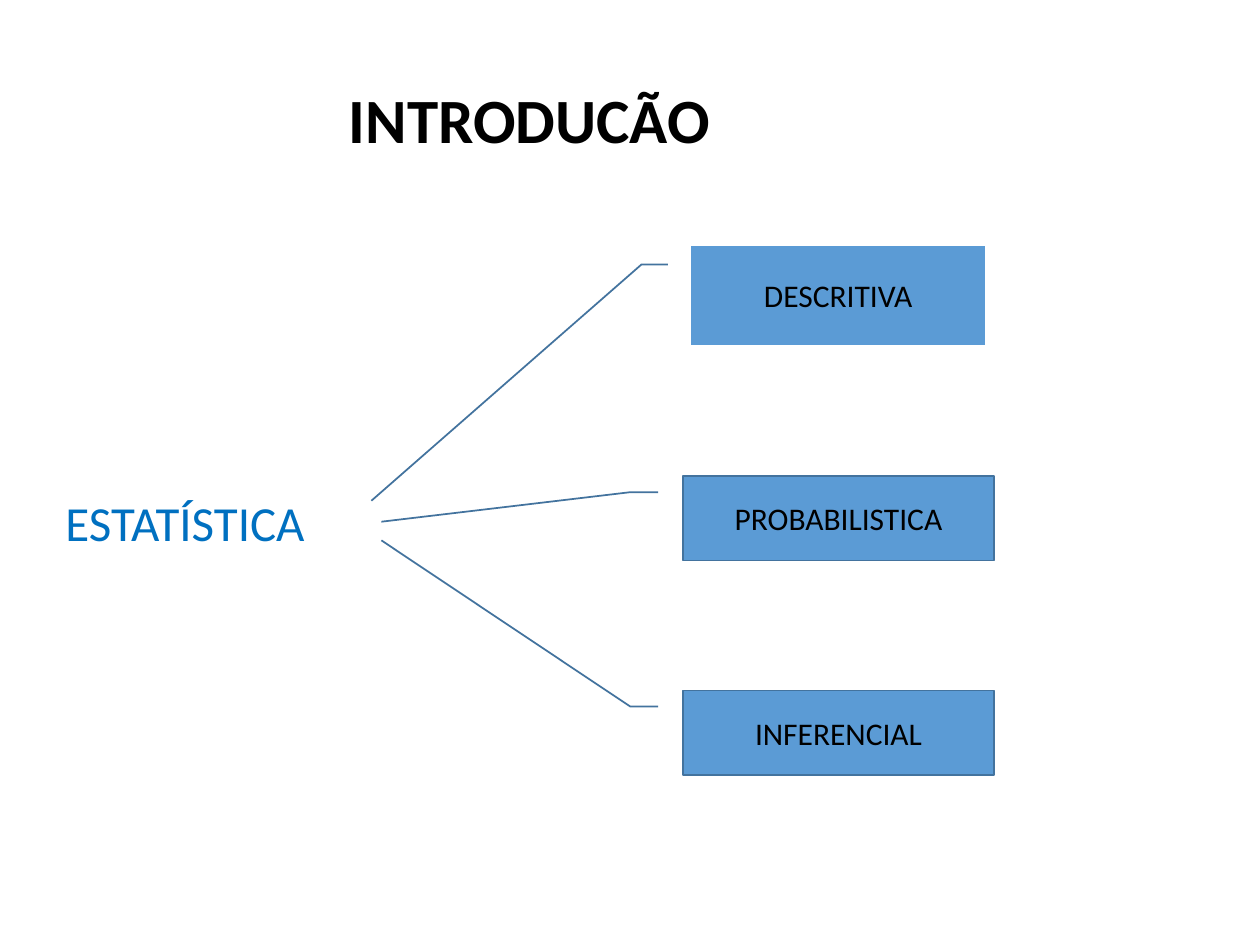
"""Build the slide that splits statistics into its three branches."""
from dataclasses import dataclass

from pptx import Presentation
from pptx.dml.color import RGBColor
from pptx.enum.shapes import MSO_SHAPE
from pptx.enum.text import MSO_ANCHOR, PP_ALIGN
from pptx.slide import Slide
from pptx.text.text import TextFrame
from pptx.util import Cm, Pt

BORDERED = MSO_SHAPE.LINE_CALLOUT_2
BORDERLESS = MSO_SHAPE.LINE_CALLOUT_2_NO_BORDER
MIDDLE = MSO_ANCHOR.MIDDLE
LEFT, CENTER = PP_ALIGN.LEFT, PP_ALIGN.CENTER
FONT = "Calibri"
COLORS = {"text": "000000", "topic": "0070C0", "box": "5B9BD5", "line": "43739E"}
LEADER_START = (0.19, -0.08, 0.19, -0.17)


@dataclass
class Branch:
    """A callout box, in centimetres, with its leader end as (y, x) fractions."""
    text: str
    left: float
    top: float
    width: float
    height: float
    leader_end: tuple[float, float]
    kind: MSO_SHAPE = BORDERED


BRANCHES = [
    Branch("DESCRITIVA", 13.94, 4.95, 5.92, 2.01, (2.56, -1.09), BORDERLESS),
    Branch("PROBABILISTICA", 13.77, 9.6, 6.27, 1.7, (0.54, -0.97)),
    Branch("INFERENCIAL", 13.77, 13.92, 6.27, 1.7, (-1.78, -0.97)),
]


def color(name: str) -> RGBColor:
    """Look up a palette colour."""
    return RGBColor.from_string(COLORS[name])


def write(tf: TextFrame, text: str, size: int, ink: str = "text",
          align: PP_ALIGN = LEFT, bold: bool = False) -> None:
    """Put one formatted, vertically centred line into a text frame."""
    tf.word_wrap = True
    tf.vertical_anchor = MIDDLE
    p = tf.paragraphs[0]
    p.text = text
    p.alignment = align
    p.font.name = FONT
    p.font.size = Pt(size)
    p.font.bold = bold
    p.font.color.rgb = color(ink)


def add_branch(s: Slide, branch: Branch) -> None:
    """Draw a branch box with its bent leader line."""
    sp = s.shapes.add_shape(branch.kind, Cm(branch.left), Cm(branch.top),
                            Cm(branch.width), Cm(branch.height))
    for i, value in enumerate(LEADER_START + branch.leader_end):
        sp.adjustments[i] = value
    sp.shadow.inherit = False
    sp.fill.solid()
    sp.fill.fore_color.rgb = color("box")
    sp.line.color.rgb = color("line")
    sp.line.width = Pt(1)
    write(sp.text_frame, branch.text, 18, align=CENTER)


def main() -> None:
    """Assemble and save the slide."""
    prs = Presentation()
    prs.slide_width, prs.slide_height = Cm(25.4), Cm(19.05)
    s = prs.slides.add_slide(prs.slide_layouts[5])

    title = s.shapes.title
    title.left, title.top = Cm(6.78), Cm(1.32)
    title.width, title.height = Cm(9.32), Cm(2.13)
    write(title.text_frame, "INTRODUCÃO", 36, bold=True)

    topic = s.shapes.add_textbox(Cm(1.07), Cm(9.77), Cm(6.2), Cm(1.5))
    write(topic.text_frame, "ESTATÍSTICA", 28, "topic")

    for branch in BRANCHES:
        add_branch(s, branch)
    prs.save("out.pptx")


if __name__ == "__main__":
    main()
